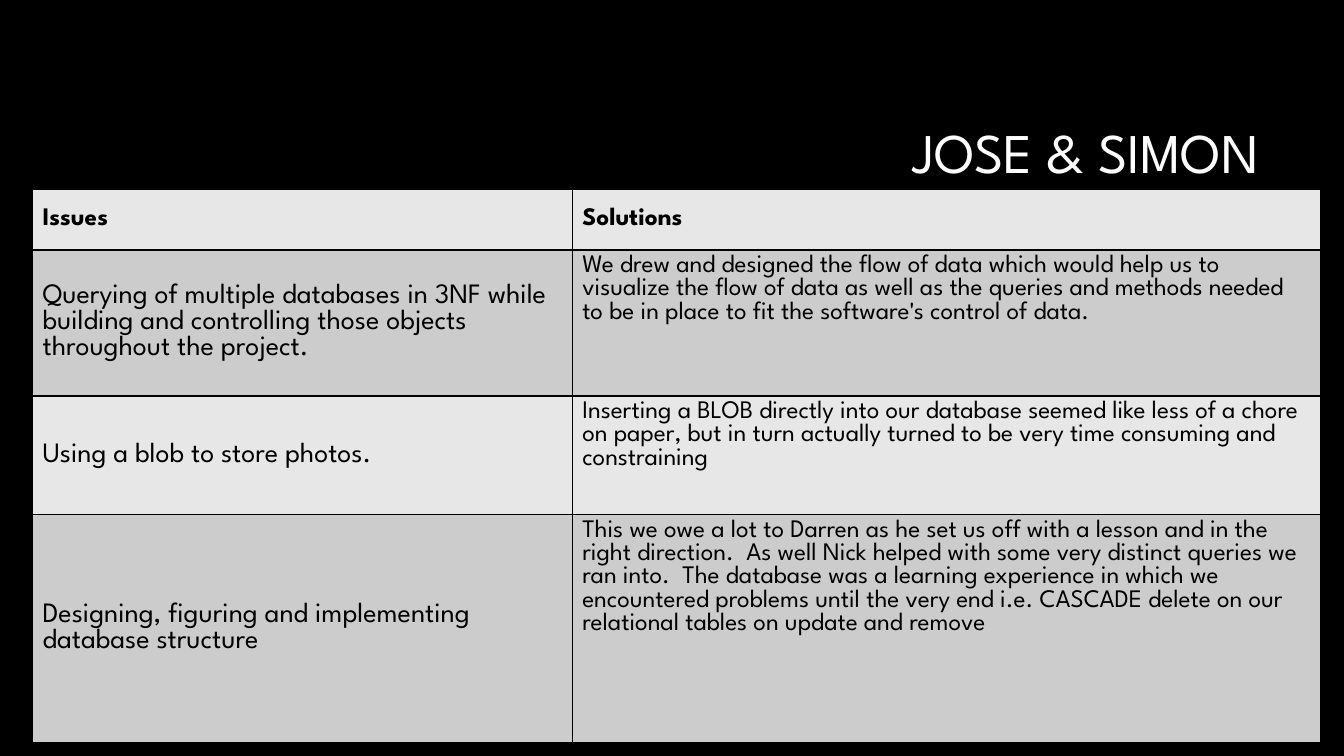
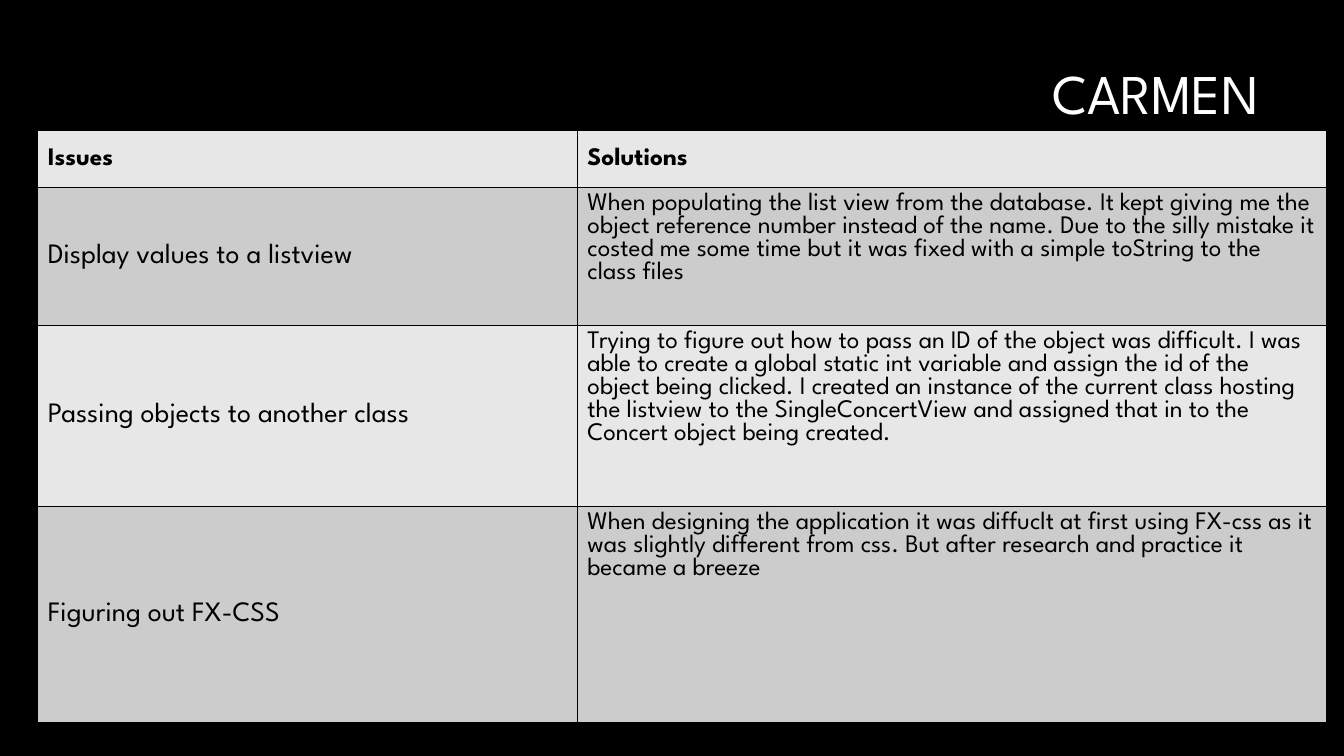
from lxml.etree import SubElement
from pptx import Presentation
from pptx.dml.color import RGBColor as Rgb
from pptx.enum.text import MSO_ANCHOR as Anchor, PP_ALIGN as Align
from pptx.oxml.ns import qn
from pptx.util import Cm, Pt

FONT = "League Spartan"
COLORS = {"black": "000000", "white": "FFFFFF", "light": "E7E7E7", "dark": "CCCCCC"}
COLUMN_WIDTHS = (13.6, 18.87)
HEADINGS = ("Issues", "Solutions")
TITLE_ONLY = 5

# Each page: title, title top, table left and top, row heights, body rows
PAGES = [
    ("JOSE & SIMON", 2.13, (0.82, 4.78), (1.52, 3.68, 2.99, 5.74), [
        ("Querying of multiple databases in 3NF while building and controlling "
         "those objects throughout the project.",
         "We drew and designed the flow of data which would help us to visualize "
         "the flow of data as well as the queries and methods needed to be in "
         "place to fit the software's control of data."),
        ("Using a blob to store photos.",
         "Inserting a BLOB directly into our database seemed like less of a chore "
         "on paper, but in turn actually turned to be very time consuming and "
         "constraining"),
        ("Designing, figuring and implementing database structure",
         "This we owe a lot to Darren as he set us off with a lesson and in the "
         "right direction.  As well Nick helped with some very distinct queries "
         "we ran into.  The database was a learning experience in which we "
         "encountered problems until the very end i.e. CASCADE delete on our "
         "relational tables on update and remove"),
    ]),
    ("CARMEN", 0.64, (0.95, 3.29), (1.43, 3.48, 4.57, 5.44), [
        ("Display values to a listview",
         "When populating the list view from the database. It kept giving me the "
         "object reference number instead of the name. Due to the silly mistake "
         "it costed me some time but it was fixed with a simple toString to the "
         "class files"),
        ("Passing objects to another class",
         "Trying to figure out how to pass an ID of the object was difficult. I "
         "was able to create a global static int variable and assign the id of "
         "the object being clicked. I created an instance of the current class "
         "hosting the listview to the SingleConcertView and assigned that in to "
         "the Concert object being created."),
        ("Figuring out FX-CSS",
         "When designing the application it was diffuclt at first using FX-css "
         "as it was slightly different from css. But after research and practice "
         "it became a breeze"),
    ]),
]


def color(name):
    return Rgb.from_string(COLORS[name])


def style_text(frame, size, color_name, bold=False):
    for para in frame.paragraphs:
        for span in para.runs:
            span.font.name = FONT
            span.font.size = Pt(size)
            span.font.bold = bold
            span.font.color.rgb = color(color_name)


def add_page(deck, title, top):
    page = deck.slides.add_slide(deck.slide_layouts[TITLE_ONLY])
    page.background.fill.solid()
    page.background.fill.fore_color.rgb = color("black")

    box = page.shapes.title
    box.left, box.top, box.width, box.height = Cm(8.05), Cm(top), Cm(23.93), Cm(3.58)
    frame = box.text_frame
    frame.text = title
    frame.word_wrap = True
    frame.vertical_anchor = Anchor.MIDDLE
    frame.paragraphs[0].alignment = Align.RIGHT
    frame.paragraphs[0].line_spacing = 0.9
    style_text(frame, 40, "white")
    return page


def set_borders(cell):
    properties = cell._tc.get_or_add_tcPr()
    for side in ("lnL", "lnR", "lnT", "lnB"):
        line = SubElement(properties, qn(f"a:{side}"), w=str(Pt(1)))
        fill = SubElement(line, qn("a:solidFill"))
        SubElement(fill, qn("a:srgbClr"), val=COLORS["black"])


def fill_cell(cell, text, row, column):
    is_heading, is_issue = row == 0, column == 0
    cell.text_frame.text = text
    cell.vertical_anchor = Anchor.MIDDLE if is_heading or is_issue else Anchor.TOP
    size = 20 if is_issue and not is_heading else 18
    style_text(cell.text_frame, size, "black", bold=is_heading)
    # Borders come before the fill in the cell properties
    set_borders(cell)
    cell.fill.solid()
    cell.fill.fore_color.rgb = color("dark" if row % 2 else "light")


def add_issue_table(page, corner, heights, rows):
    left, top = corner
    frame = page.shapes.add_table(
        len(heights), len(COLUMN_WIDTHS), Cm(left), Cm(top),
        Cm(sum(COLUMN_WIDTHS)), Cm(sum(heights)))
    table = frame.table
    for column, width in zip(table.columns, COLUMN_WIDTHS):
        column.width = Cm(width)
    for row, height in zip(table.rows, heights):
        row.height = Cm(height)
    for row, texts in enumerate([HEADINGS, *rows]):
        for column, text in enumerate(texts):
            fill_cell(table.cell(row, column), text, row, column)


def main():
    deck = Presentation()
    deck.slide_width, deck.slide_height = Cm(33.87), Cm(19.05)
    for title, title_top, corner, heights, rows in PAGES:
        page = add_page(deck, title, title_top)
        add_issue_table(page, corner, heights, rows)
    deck.save("out.pptx")


if __name__ == "__main__":
    main()
